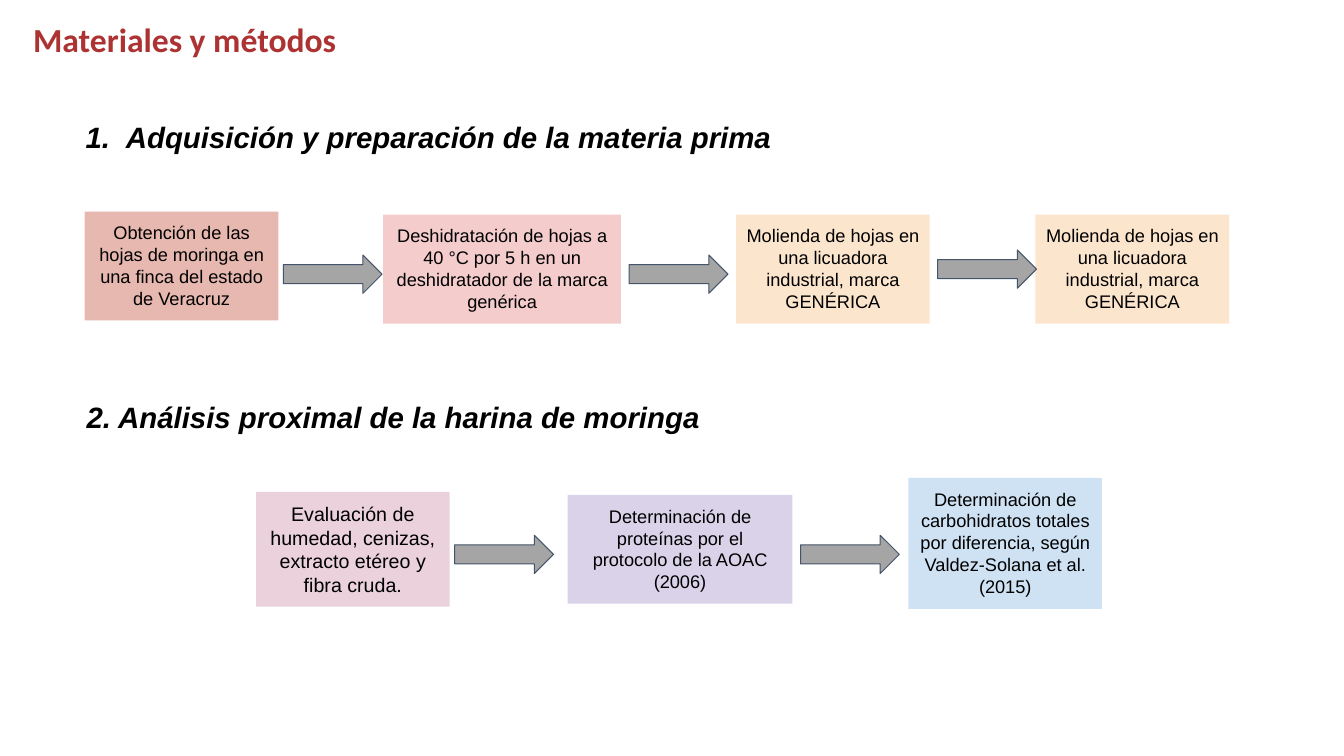
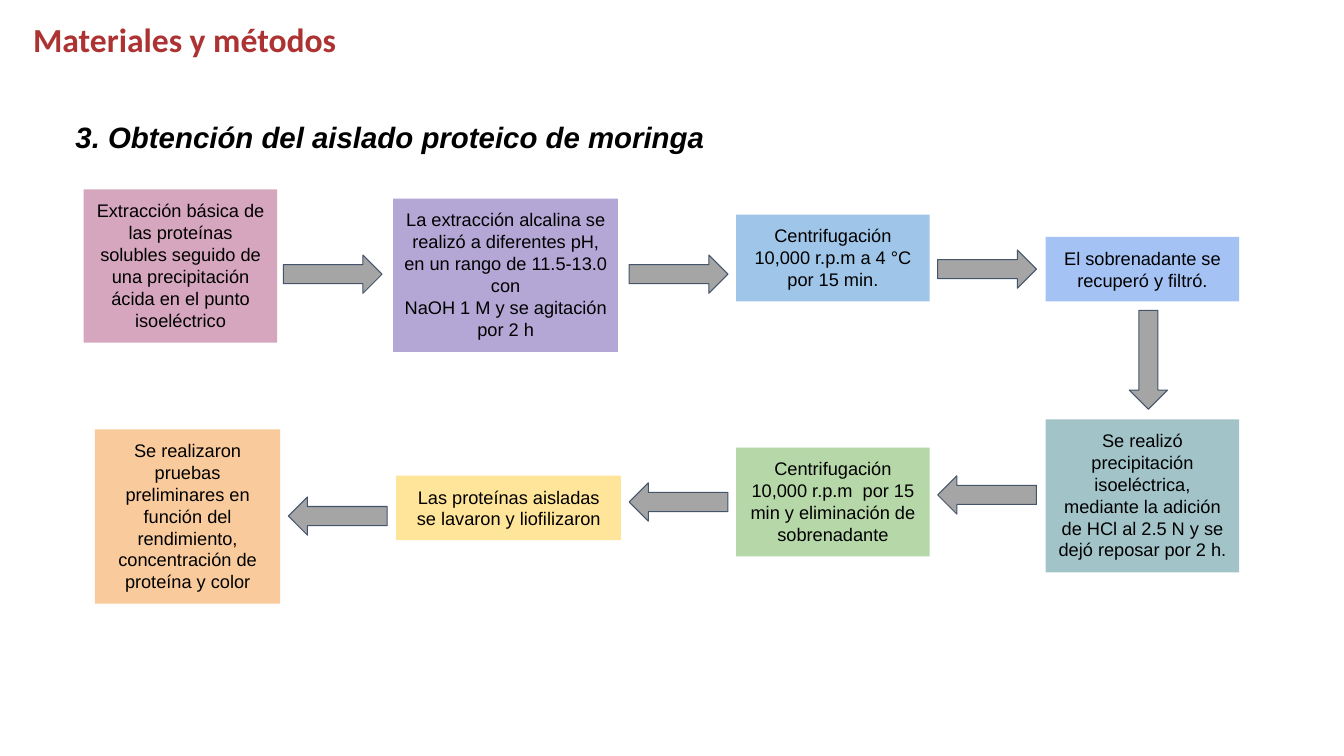
import pptx
import pptx.util
import pptx.oxml
import pptx.oxml.ns
from pptx.dml.color import RGBColor
from pptx.enum.shapes import MSO_SHAPE
from pptx.enum.text import MSO_ANCHOR, MSO_AUTO_SIZE, PP_ALIGN
from pptx.util import Inches

# Shared style
TITLE_RED = RGBColor(0xAD, 0x33, 0x33)
BLACK = RGBColor(0x00, 0x00, 0x00)
ARROW_GREY = RGBColor(0xA5, 0xA5, 0xA5)
ARROW_EDGE = RGBColor(0x44, 0x54, 0x6A)
CLAY = RGBColor(0xE6, 0xB8, 0xAF)
ROSE = RGBColor(0xF4, 0xCC, 0xCC)
CREAM = RGBColor(0xFC, 0xE5, 0xCD)
PALE_PINK = RGBColor(0xEA, 0xD1, 0xDC)
PALE_VIOLET = RGBColor(0xD9, 0xD2, 0xE9)
PALE_BLUE = RGBColor(0xCF, 0xE2, 0xF3)
MAUVE = RGBColor(0xD5, 0xA6, 0xBD)
VIOLET = RGBColor(0xB4, 0xA7, 0xD6)
SKY = RGBColor(0x9F, 0xC5, 0xE8)
PERIWINKLE = RGBColor(0xA4, 0xC2, 0xF4)
TEAL = RGBColor(0xA2, 0xC4, 0xC9)
GREEN = RGBColor(0xB6, 0xD7, 0xA8)
YELLOW = RGBColor(0xFF, 0xE5, 0x99)
ORANGE = RGBColor(0xF9, 0xCB, 0x9C)

STEP_W = 1.92
ARROW_LENGTH, ARROW_WIDTH = 0.98, 0.38
RIGHT, LEFT, DOWN = MSO_SHAPE.RIGHT_ARROW, MSO_SHAPE.LEFT_ARROW, MSO_SHAPE.DOWN_ARROW

GRINDING = "Molienda de hojas en una licuadora industrial, marca GENÉRICA"

# Headings: text, left, top, width, numbered
# Steps: text, left, top, width, height, fill, size
# Arrows: direction, left, top
slides = [
    {
        "headings": [
            ("Adquisición y preparación de la materia prima", 0.65, 1.17, 7.48, True),
            ("2. Análisis proximal de la harina de moringa", 0.76, 3.95, 6.75, False),
        ],
        "steps": [
            ("Obtención de las hojas de moringa en una finca del estado de Veracruz",
             0.84, 2.1, STEP_W, 1.08, CLAY, 13),
            ("Deshidratación de hojas a 40 °C por 5 h en un deshidratador de la marca genérica",
             3.8, 2.13, 2.36, 1.08, ROSE, 13),
            (GRINDING, 7.3, 2.13, STEP_W, 1.08, CREAM, 13),
            (GRINDING, 10.27, 2.13, STEP_W, 1.08, CREAM, 13),
            ("Evaluación de humedad, cenizas, extracto etéreo y fibra cruda.",
             2.54, 4.88, STEP_W, 1.14, PALE_PINK, 14),
            ("Determinación de proteínas por el protocolo de la AOAC (2006)",
             5.63, 4.91, 2.23, 1.08, PALE_VIOLET, 13),
            ("Determinación de carbohidratos totales por diferencia, según Valdez-Solana et al. (2015)",
             9.01, 4.74, STEP_W, 1.3, PALE_BLUE, 13),
        ],
        "arrows": [
            (RIGHT, 2.81, 2.53), (RIGHT, 6.24, 2.53), (RIGHT, 9.3, 2.48),
            (RIGHT, 4.51, 5.31), (RIGHT, 7.94, 5.31),
        ],
    },
    {
        "headings": [
            ("3. Obtención del aislado proteico de moringa", 0.65, 1.17, 7.48, False),
        ],
        "steps": [
            ("Extracción básica de las proteínas solubles seguido de una precipitación ácida "
             "en el punto isoeléctrico", 0.83, 1.88, STEP_W, 1.52, MAUVE, 13),
            ("La extracción alcalina se realizó a diferentes pH, en un rango de 11.5-13.0 con\n"
             "NaOH 1 M y se agitación por 2 h", 3.9, 1.97, 2.23, 1.52, VIOLET, 13),
            ("Centrifugación 10,000 r.p.m a 4 °C por 15 min.",
             7.3, 2.13, STEP_W, 0.86, SKY, 13),
            ("El sobrenadante se recuperó y filtró.",
             10.37, 2.35, STEP_W, 0.64, PERIWINKLE, 13),
            ("Se realizó precipitación isoeléctrica, mediante la adición de HCl al 2.5 N y se "
             "dejó reposar por 2 h.", 10.37, 4.16, STEP_W, 1.52, TEAL, 13),
            ("Centrifugación 10,000 r.p.m  por 15 min y eliminación de sobrenadante",
             7.3, 4.44, STEP_W, 1.08, GREEN, 13),
            ("Las proteínas aisladas se lavaron y liofilizaron",
             3.93, 4.72, 2.23, 0.64, YELLOW, 13),
            ("Se realizaron pruebas preliminares en función del rendimiento, concentración de "
             "proteína y color", 0.94, 4.26, 1.84, 1.73, ORANGE, 13),
        ],
        "arrows": [
            (RIGHT, 2.81, 2.53), (RIGHT, 6.24, 2.53), (RIGHT, 9.3, 2.48),
            (DOWN, 11.2, 3.08),
            (LEFT, 9.3, 4.72), (LEFT, 6.24, 4.79), (LEFT, 2.86, 4.93),
        ],
    },
]


def add_run(paragraph, text, size, font="Arial", color=BLACK, bold=False, italic=False):
    run = paragraph.add_run()
    run.text = text
    run.font.name = font
    run.font.size = pptx.util.Pt(size)
    run.font.color.rgb = color
    run.font.bold = bold
    run.font.italic = italic


def add_line(slide, left, top, width, height):
    """Add a wrapping text box and return its first paragraph."""
    box = slide.shapes.add_textbox(Inches(left), Inches(top), Inches(width), Inches(height))
    box.text_frame.word_wrap = True
    paragraph = box.text_frame.paragraphs[0]
    paragraph.line_spacing = 0.9
    return paragraph


deck = pptx.Presentation()
deck.slide_width = Inches(13.33)
deck.slide_height = Inches(7.5)

for content in slides:
    slide = deck.slides.add_slide(deck.slide_layouts[6])

    # Title
    title = add_line(slide, 0.23, 0.18, 11.5, 1.08)
    add_run(title, "Materiales y métodos", 24, "Calibri", TITLE_RED, bold=True)

    # Section headings
    for text, left, top, width, numbered in content["headings"]:
        heading = add_line(slide, left, top, width, 0.49)
        add_run(heading, text, 21, bold=True, italic=True)
        if numbered:
            properties = heading._p.get_or_add_pPr()
            properties.set("marL", str(Inches(0.5)))
            properties.set("indent", str(Inches(-0.4)))
            numbering = pptx.oxml.parse_xml(
                "<a:buAutoNum %s type='arabicPeriod'/>" % pptx.oxml.ns.nsdecls("a"))
            properties.append(numbering)

    # Process steps
    for text, left, top, width, height, fill, size in content["steps"]:
        step = slide.shapes.add_shape(
            MSO_SHAPE.RECTANGLE, Inches(left), Inches(top), Inches(width), Inches(height))
        step.shadow.inherit = False
        step.fill.solid()
        step.fill.fore_color.rgb = fill
        step.line.fill.background()
        frame = step.text_frame
        frame.word_wrap = True
        frame.auto_size = MSO_AUTO_SIZE.SHAPE_TO_FIT_TEXT
        frame.vertical_anchor = MSO_ANCHOR.TOP
        frame.margin_left = frame.margin_right = Inches(0.1)
        frame.margin_top = frame.margin_bottom = Inches(0.1)
        for index, line in enumerate(text.split("\n")):
            paragraph = frame.add_paragraph() if index else frame.paragraphs[0]
            paragraph.alignment = PP_ALIGN.CENTER
            add_run(paragraph, line, size)

    # Arrows between steps
    for direction, left, top in content["arrows"]:
        width, height = ARROW_LENGTH, ARROW_WIDTH
        if direction == DOWN:
            width, height = height, width
        arrow = slide.shapes.add_shape(
            direction, Inches(left), Inches(top), Inches(width), Inches(height))
        arrow.shadow.inherit = False
        arrow.fill.solid()
        arrow.fill.fore_color.rgb = ARROW_GREY
        arrow.line.color.rgb = ARROW_EDGE
        arrow.line.width = pptx.util.Pt(0.75)

deck.save("out.pptx")
